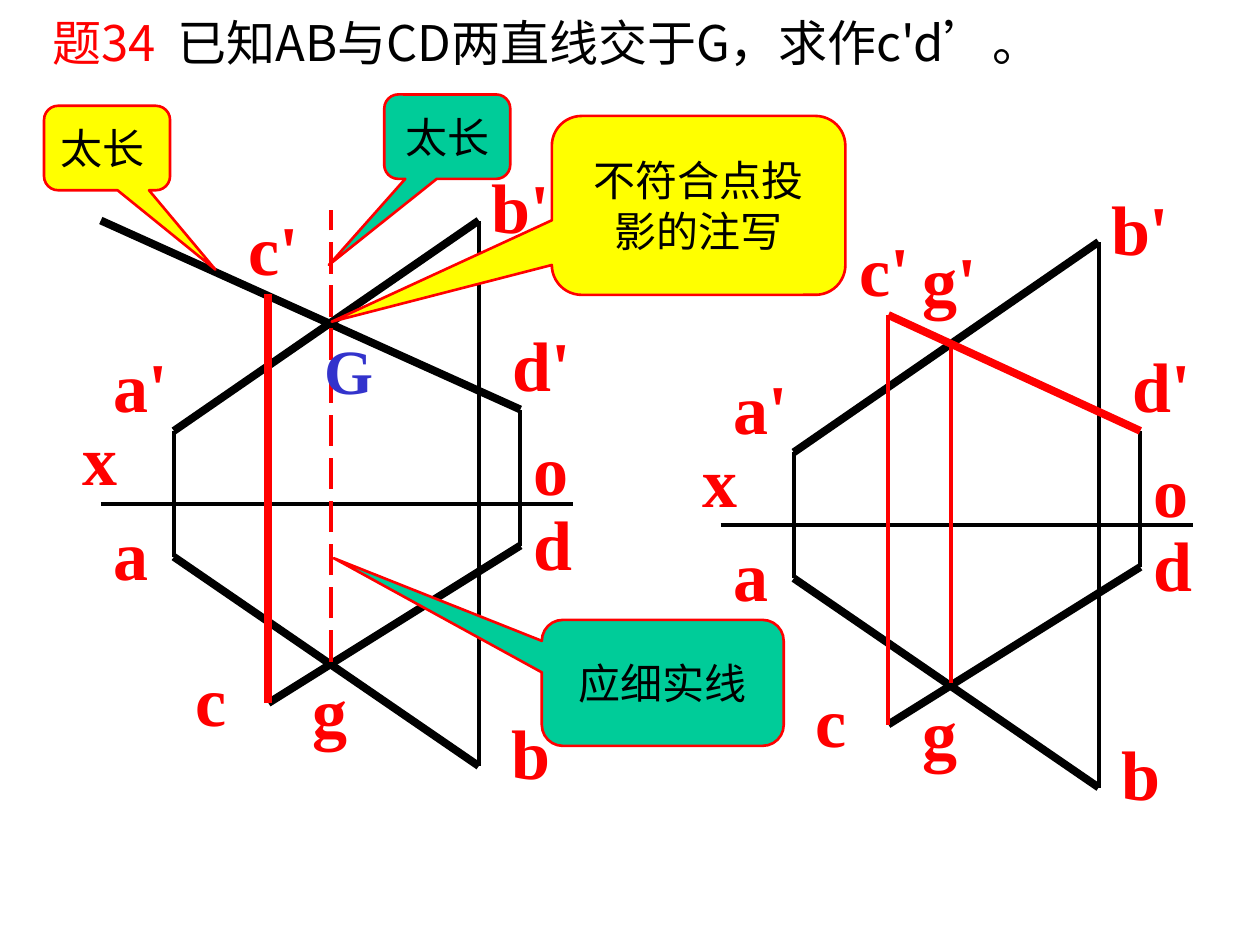
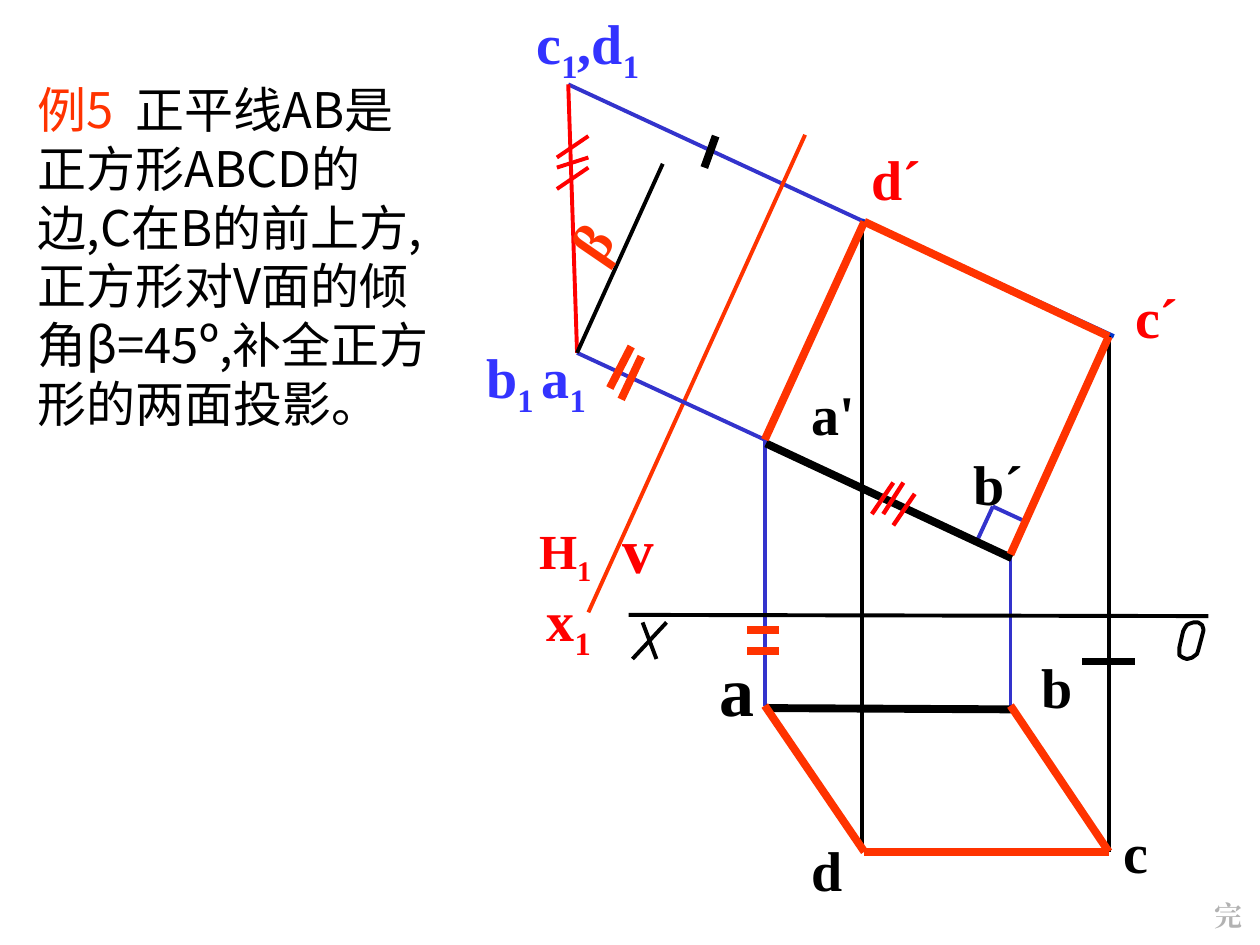
from dataclasses import dataclass
from itertools import groupby
from typing import NamedTuple

from lxml import etree
from pptx import Presentation
from pptx.dml.color import RGBColor
from pptx.enum.dml import MSO_LINE
from pptx.enum.shapes import MSO_CONNECTOR, MSO_SHAPE
from pptx.enum.text import MSO_ANCHOR, MSO_AUTO_SIZE, PP_ALIGN
from pptx.oxml.ns import qn
from pptx.util import Inches, Pt

LEFT, CENTER, RIGHT = PP_ALIGN.LEFT, PP_ALIGN.CENTER, PP_ALIGN.RIGHT
TOP, MIDDLE = MSO_ANCHOR.TOP, MSO_ANCHOR.MIDDLE
CALLOUT = MSO_SHAPE.ROUNDED_RECTANGULAR_CALLOUT
STRAIGHT = MSO_CONNECTOR.STRAIGHT
LONG_DASH = MSO_LINE.LONG_DASH

SLIDE_W, SLIDE_H = Inches(10), Inches(7.5)
COL, ROW = SLIDE_W / 100, SLIDE_H / 75  # grid of 100 columns by 75 rows

COLORS = {
    "black": "000000", "red": "FF0000", "orange": "FF3300",
    "blue": "3333CC", "deep_blue": "0033CC", "aux_blue": "3333FF",
    "green": "00CC99", "yellow": "FFFF00", "gray": "B2B2B2",
}
CJK, SERIF = "Noto Sans CJK SC", "Times New Roman"
THIN, MEDIUM, THICK = 2.25, 2.5, 4.5


class Point(NamedTuple):
    col: float
    row: float

    def shifted(self, by: "Point") -> "Point":
        return Point(self.col + by.col, self.row + by.row)


class Box(NamedTuple):
    col: float
    row: float
    cols: float
    rows: float


@dataclass
class Stroke:
    start: Point
    end: Point
    color: str = "black"
    width: float = THIN
    dashed: bool = False


@dataclass
class Label:
    text: str
    col: float
    row: float
    cols: float
    color: str = "red"
    size: int = 40
    align: PP_ALIGN = LEFT
    rotation: float = 0


@dataclass
class Callout:
    lines: list[str]
    box: Box
    tip: tuple[float, float]
    fill: str
    align: PP_ALIGN = CENTER


def rgb(color: str) -> RGBColor:
    return RGBColor.from_string(COLORS[color])


def emu(box: Box) -> list[int]:
    return [round(n * unit) for n, unit in zip(box, (COL, ROW, COL, ROW))]


def add_text(paragraph, text: str, *, size: float, color: str = "black", font: str = CJK,
             bold: bool = False, baseline: int = 0, spacing: int = 0) -> None:
    """Append a run; baseline is in percent, spacing in hundredths of a point."""
    run = paragraph.add_run()
    run.text = text
    run.font.size, run.font.bold, run.font.name = Pt(size), bold, font
    run.font.color.rgb = rgb(color)
    props = run._r.get_or_add_rPr()
    etree.SubElement(props, qn("a:ea")).set("typeface", font)
    if baseline:
        props.set("baseline", str(baseline * 1000))
    if spacing:
        props.set("spc", str(spacing))


def set_frame(frame, wrap: bool, anchor: MSO_ANCHOR, auto_size: MSO_AUTO_SIZE) -> None:
    frame.word_wrap, frame.vertical_anchor, frame.auto_size = wrap, anchor, auto_size


def add_title(slide, number: str, problem: str, box: Box, color: str, align: PP_ALIGN) -> None:
    title = slide.shapes.title
    title.left, title.top, title.width, title.height = emu(box)
    set_frame(title.text_frame, True, TOP, MSO_AUTO_SIZE.NONE)
    paragraph = title.text_frame.paragraphs[0]
    paragraph.alignment = align
    add_text(paragraph, number, size=28, color=color)
    add_text(paragraph, " ", size=28, color=color, spacing=630)
    add_text(paragraph, problem, size=28)


def draw_stroke(slide, stroke: Stroke) -> None:
    (x1, y1), (x2, y2) = stroke.start, stroke.end
    ends = emu(Box(x1, y1, x2, y2))
    connector = slide.shapes.add_connector(STRAIGHT, *ends)
    connector.line.color.rgb = rgb(stroke.color)
    connector.line.width = Pt(stroke.width)
    if stroke.dashed:
        connector.line.dash_style = LONG_DASH
    etree.SubElement(connector._element.spPr, qn("a:effectLst"))


def draw_label(slide, label: Label) -> None:
    """Draw a point name; each 1 in it becomes a subscript."""
    rows = label.size * 0.175 + 0.7
    box = slide.shapes.add_textbox(*emu(Box(label.col, label.row, label.cols, rows)))
    box.rotation = label.rotation
    set_frame(box.text_frame, False, TOP, MSO_AUTO_SIZE.SHAPE_TO_FIT_TEXT)
    paragraph = box.text_frame.paragraphs[0]
    paragraph.alignment = label.align
    for is_index, letters in groupby(label.text, lambda letter: letter in "1 "):
        add_text(paragraph, "".join(letters), size=label.size, color=label.color,
                 font=SERIF, bold=True, baseline=-25 if is_index else 0)


def draw_callout(slide, callout: Callout) -> None:
    bubble = slide.shapes.add_shape(CALLOUT, *emu(callout.box))
    bubble.shadow.inherit = False
    bubble.adjustments[0], bubble.adjustments[1] = callout.tip
    bubble.fill.solid()
    bubble.fill.fore_color.rgb = rgb(callout.fill)
    bubble.line.color.rgb = rgb("red")
    bubble.line.width = Pt(1.5)
    frame = bubble.text_frame
    set_frame(frame, False, MIDDLE, MSO_AUTO_SIZE.NONE)
    for index, line in enumerate(callout.lines):
        paragraph = frame.add_paragraph() if index else frame.paragraphs[0]
        paragraph.alignment = callout.align
        add_text(paragraph, line, size=24)


def draw_outline(slide, points: list[Point]) -> None:
    corners = [(round(p.col * COL), round(p.row * ROW)) for p in points]
    builder = slide.shapes.build_freeform(*corners[0])
    builder.add_line_segments(corners[1:], close=True)
    outline = builder.convert_to_shape()
    outline.shadow.inherit = False
    outline.fill.background()
    outline.line.color.rgb = rgb("black")
    outline.line.width = Pt(THIN)


def draw_intersecting_lines(slide, at: Point, strokes: list[Stroke], labels: list[Label]) -> None:
    """Draw the given projections of AB and CD, then the figure's own parts, from an offset."""
    p = CROSSING
    given = [
        Stroke(p["x"], p["o"]),
        Stroke(p["a"], p["b"], width=THICK),
        Stroke(p["c"], p["d"], width=THICK),
        Stroke(p["a"], p["a'"]),
        Stroke(p["b"], p["b'"]),
        Stroke(p["a'"], p["b'"], width=THICK),
        Stroke(p["d"], p["d'"]),
    ]
    for s in given + strokes:
        draw_stroke(slide, Stroke(s.start.shifted(at), s.end.shifted(at), s.color, s.width, s.dashed))
    names = [("o", 41.3, 33.3, 4.8), ("x", 5.5, 32.5, 4.8), ("a", 8, 40, 4.8),
             ("b'", 38, 12.5, 6.6), ("a'", 8, 26.7, 6.3), ("c", 14.5, 51.6, 4.5),
             ("d", 41.3, 39.2, 5.1), ("d'", 39.7, 25, 6.6)]
    for text, col, row, cols in names:
        draw_label(slide, Label(text, col + at.col, row + at.row, cols, align=RIGHT))
    for label in labels:
        draw_label(slide, label)


CROSSING = {
    "x": Point(8, 40), "o": Point(45.5, 40),
    "a": Point(13.8, 44.2), "b": Point(38, 60.8),
    "c": Point(21.3, 55.8), "d": Point(41.3, 43.3), "g": Point(26.3, 52.5),
    "a'": Point(13.8, 34.2), "b'": Point(38, 17.5),
    "c'": Point(21.3, 23.3), "d'": Point(41.3, 32.5), "g'": Point(26.3, 25.8),
}


def build_crossing_slide(slide) -> None:
    p = CROSSING
    add_title(slide, "题34", "已知AB与CD两直线交于G，求作c'd’。", Box(0, 0.5, 79.8, 10.4), "red", RIGHT)
    draw_intersecting_lines(slide, Point(0, 0), [
        Stroke(p["d'"], Point(8, 17.5), width=THICK),
        Stroke(p["g"], Point(26.3, 16.7), "red", dashed=True),
        Stroke(p["c"], p["c'"], "red", THICK),
    ], [
        Label("b", 39.6, 55.8, 5.1, align=RIGHT),
        Label("c'", 18.7, 15.8, 6, align=RIGHT),
        Label("g", 23.8, 52.5, 4.8, align=RIGHT),
    ])
    draw_intersecting_lines(slide, Point(49.2, 1.7), [
        Stroke(p["c"], p["c'"], "red"),
        Stroke(p["g"], p["g'"], "red"),
        Stroke(p["d'"], p["c'"], "red", THICK),
    ], [
        Label("b", 88, 57.5, 5.1, align=RIGHT),
        Label("c'", 67.2, 17.5, 6, align=RIGHT),
        Label("g", 72.2, 54.2, 4.8, align=RIGHT),
        Label("g'", 72.2, 18.3, 6.3, align=RIGHT),
    ])
    for callout in (
        Callout(["应细实线"], Box(43, 49.2, 19.2, 10), (-1.36, -0.99), "green"),
        Callout(["太长"], Box(30.5, 7.5, 10, 6.7), (-0.94, 1.52), "green"),
        Callout(["太长"], Box(3.5, 8.4, 10, 6.7), (0.86, 1.44), "yellow", LEFT),
        Callout(["不符合点投", "影的注写"], Box(43.8, 9.2, 23.3, 14.2), (-1.25, 0.65), "yellow"),
    ):
        draw_callout(slide, callout)
    draw_label(slide, Label("G", 24.7, 25.8, 5.9, "blue", 36, RIGHT))


def build_square_slide(slide) -> None:
    add_title(slide, "例5", "正平线AB是正方形ABCD的边,C在B的前上方,正方形对V面的倾角β=45º,补全正方形的两面投影。",
              Box(2, 5.8, 33.2, 29), "orange", LEFT)
    a, b, c, d = Point(60.7, 56), Point(80.2, 56), Point(88, 67.6), Point(68.6, 67.6)
    av, bv, cv, dv = Point(60.7, 34.9), Point(80.2, 44), Point(88, 26.7), Point(68.6, 17.6)
    b1, c1 = Point(45.8, 28), Point(45.1, 6.7)
    axis_crossing = Point(88, 48.6)
    right_angle = Point(78.8, 40.2)

    projectors = [
        Stroke(dv, c1, "blue"),
        Stroke(Point(68.4, 17.5), Point(88.4, 26.7), "deep_blue", MEDIUM),
        Stroke(a, av, "blue"),
        Stroke(Point(63.9, 10.7), Point(46.7, 48.6), "orange"),
        Stroke(av, b1, "blue"),
        Stroke(b, bv, "blue"),
        Stroke(Point(81.4, 41.4), right_angle, "blue"),
        Stroke(right_angle, Point(77.6, 42.8), "blue"),
    ]
    given = [
        Stroke(Point(80.3, 44.3), Point(60.8, 35.2), width=THICK),
        Stroke(Point(60.8, 56.2), Point(80.3, 56.3), width=THICK),
        Stroke(Point(49.9, 48.8), Point(95.9, 48.9)),
        Stroke(Point(51, 49.4), Point(52.1, 52.3)),
        Stroke(Point(52.9, 49.4), Point(50.2, 52.3)),
    ]
    solution = [Stroke(start, end, "orange", THICK) for start, end in
                ((cv, dv), (av, dv), (bv, cv), (c, d), (a, d), (c, b))]
    inclination = [Stroke(b1, c1, "red"), Stroke(b1, Point(52.6, 13))]
    verticals = [
        Stroke(axis_crossing, c),
        Stroke(cv, axis_crossing),
        Stroke(Point(68.4, 17.5), Point(68.4, 67.5)),
    ]
    equal_marks = [Stroke(Point(*start), Point(*end), color, width) for start, end, color, width in (
        ((59.3, 50), (61.8, 50), "orange", THICK),
        ((59.3, 51.7), (61.8, 51.7), "orange", THICK),
        ((50.1, 27.5), (48.4, 30.8), "orange", THICK),
        ((50.9, 28.3), (49.3, 31.7), "orange", THICK),
        ((55.9, 13.3), (56.8, 10.8), "black", THICK),
        ((85.9, 52.5), (90.1, 52.5), "black", THICK),
        ((69.2, 40.8), (70.9, 38.3), "red", MEDIUM),
        ((70.1, 40.8), (71.7, 38.3), "red", MEDIUM),
        ((70.9, 41.7), (72.6, 39.2), "red", MEDIUM),
        ((44.2, 13.3), (46.7, 12.5), "red", THIN),
        ((44.2, 15), (46.7, 13.3), "red", THIN),
        ((44.2, 12.5), (46.7, 10.8), "red", THIN),
    )]
    for stroke in projectors + given + inclination + verticals + solution + equal_marks:
        draw_stroke(slide, stroke)

    draw_outline(slide, [Point(*corner) for corner in (
        (94.2, 52.3), (94.6, 52.2), (95, 51.9), (95.1, 51.6), (95.5, 50.1), (95.5, 49.9),
        (95.4, 49.6), (95.1, 49.4), (94.7, 49.4), (94.4, 49.5), (94.2, 49.6), (94, 49.9),
        (93.9, 50.1), (93.6, 51.4), (93.6, 52), (93.9, 52.2))])

    for label in (
        Label("a", 56.1, 50.8, 4.8, "black"),
        Label("b", 81.7, 51.3, 4.5, "black", 32),
        Label("a'", 63.4, 29.6, 5.5, "black", 32),
        Label("b´", 76.3, 35.2, 6.7, "black", 32),
        Label("x1", 42.4, 46, 5.7, "red", 32),
        Label("H1", 41.8, 40.8, 6.4, "red", 28),
        Label("v", 48.4, 40, 4.5, "red", 36),
        Label("b1 a1", 37.6, 26.7, 10.3, "aux_blue", 32),
        Label("c´", 89.1, 21.9, 6.2, "red", 32),
        Label("d´", 68.2, 11, 6.7, "red", 32),
        Label("c1,d1", 41.6, 0.2, 10.5, "aux_blue", 32),
        Label("β", 44.2, 15.1, 6.5, "orange", 32, rotation=304.4),
        Label("d", 63.4, 65.8, 4.5, "black", 32),
        Label("c", 88.2, 64.4, 4, "black", 32),
        Label("完", 95.4, 70.8, 4.3, "gray", 16),
    ):
        draw_label(slide, label)


def main() -> None:
    deck = Presentation()
    deck.slide_width, deck.slide_height = SLIDE_W, SLIDE_H
    title_only = deck.slide_layouts[5]
    for build in (build_crossing_slide, build_square_slide):
        build(deck.slides.add_slide(title_only))
    deck.save("out.pptx")


if __name__ == "__main__":
    main()
